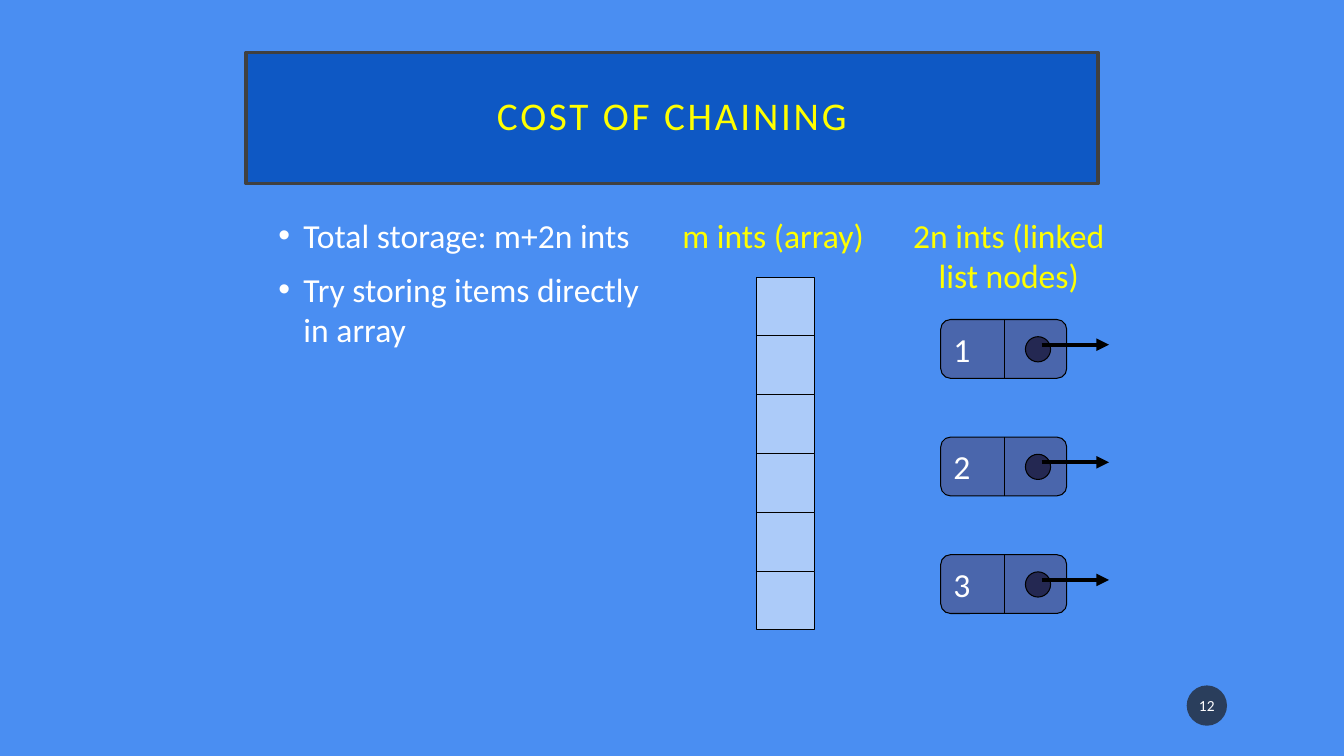
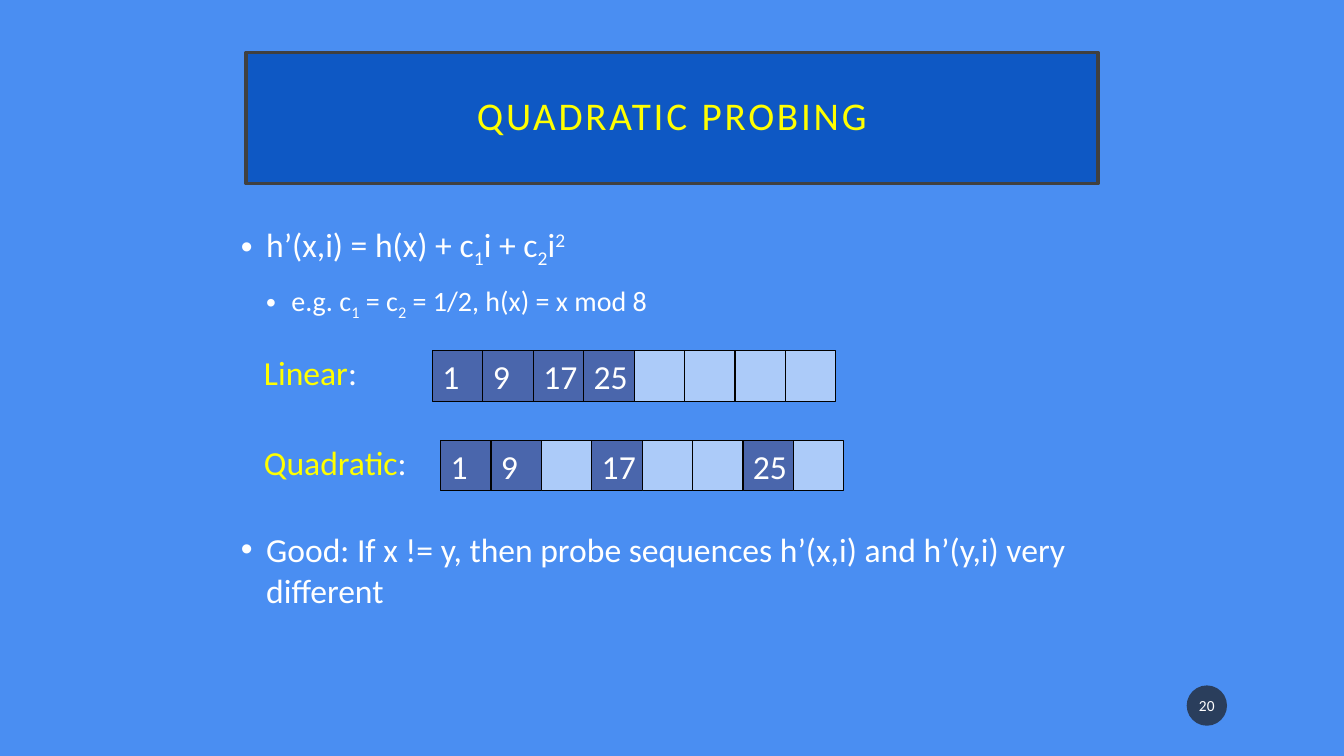
from dataclasses import dataclass

from lxml.etree import SubElement
from pptx import Presentation
from pptx.dml.color import RGBColor
from pptx.enum.shapes import MSO_CONNECTOR as Connector, MSO_SHAPE as Shape
from pptx.enum.text import MSO_ANCHOR as Anchor, MSO_AUTO_SIZE as AutoSize, PP_ALIGN as Align
from pptx.oxml.ns import qn
from pptx.util import Inches, Pt


@dataclass(frozen=True)
class Theme:
    """Colours, font and type sizes shared by the slides."""
    font: str = "Calibri"
    page: str = "4A8EF2"
    band: str = "0E58C4"
    band_edge: str = "404040"
    accent: str = "FFFF00"
    text: str = "FFFFFF"
    empty: str = "ACCBF9"
    filled: str = "4A66AC"
    dot: str = "242852"
    ink: str = "000000"
    badge: str = "1D1D1D"
    title_size: int = 28
    body_size: int = 24
    sub_size: int = 20
    badge_size: int = 11
    hairline: float = 0.75


THEME = Theme()


def rgb(code):
    """Turn a hex code into a colour."""
    return RGBColor.from_string(code)


def add_span(para, text, size=THEME.body_size, color=THEME.text, baseline=0):
    """Add one formatted run; baseline is a percentage shift."""
    span = para.add_run()
    span.text = text
    span.font.name = THEME.font
    span.font.size = Pt(size)
    span.font.color.rgb = rgb(color)
    if baseline:
        span.font._element.set("baseline", str(baseline * 1000))
    return span


def set_frame(frame, margins, anchor=Anchor.TOP, wrap=True):
    """Set insets (left, top, right, bottom), anchor and wrapping."""
    frame.auto_size = AutoSize.NONE
    frame.word_wrap = wrap
    frame.vertical_anchor = anchor
    (frame.margin_left, frame.margin_top,
     frame.margin_right, frame.margin_bottom) = map(Inches, margins)


def place(shape, left, top, width, height):
    """Move and size a placeholder."""
    shape.left, shape.top = Inches(left), Inches(top)
    shape.width, shape.height = Inches(width), Inches(height)


def add_box(page, kind, left, top, width, height, fill):
    """Add a flat shape with a thin dark outline."""
    box = page.shapes.add_shape(kind, Inches(left), Inches(top), Inches(width), Inches(height))
    box.shadow.inherit = False
    box.fill.solid()
    box.fill.fore_color.rgb = rgb(fill)
    box.line.color.rgb = rgb(THEME.ink)
    box.line.width = Pt(THEME.hairline)
    return box


def add_value(box, text):
    """Write a value at the left of a box."""
    set_frame(box.text_frame, (0.1, 0.05, 0, 0.05), Anchor.MIDDLE)
    para = box.text_frame.paragraphs[0]
    para.alignment = Align.LEFT
    add_span(para, text)


def add_line(page, start, end, width=THEME.hairline, arrow=False):
    """Draw a straight line, with an arrowhead at its end if wanted."""
    line = page.shapes.add_connector(Connector.STRAIGHT, *map(Inches, start + end))
    line.line.color.rgb = rgb(THEME.ink)
    line.line.width = Pt(width)
    if arrow:
        SubElement(line.line._get_or_add_ln(), qn("a:tailEnd"), type="triangle")
    SubElement(line._element.spPr, qn("a:effectLst"))


def add_label(page, left, top, width, height, lines, align=Align.LEFT):
    """Add a label; each line is a list of (text, colour) parts."""
    box = page.shapes.add_textbox(Inches(left), Inches(top), Inches(width), Inches(height))
    set_frame(box.text_frame, (0.1, 0.05, 0.1, 0.05), wrap=False)
    for index, parts in enumerate(lines):
        para = box.text_frame.add_paragraph() if index else box.text_frame.paragraphs[0]
        para.alignment = align
        for text, color in parts:
            add_span(para, text, color=color)


def add_bullets(body, items):
    """Fill a body placeholder; an item is (level, space before, spans)."""
    frame = body.text_frame
    set_frame(frame, (0.1, 0.05, 0.1, 0.05))
    for index, (level, gap, spans) in enumerate(items):
        para = frame.add_paragraph() if index else frame.paragraphs[0]
        para.level = level
        para.alignment = Align.LEFT
        para.space_before = Pt(gap)
        props = para._p.get_or_add_pPr()
        props.set("marL", str(Inches(0.25 * (level + 1))))
        props.set("indent", str(Inches(-0.25)))
        SubElement(SubElement(props, qn("a:buClr")), qn("a:srgbClr"), val=THEME.text)
        SubElement(props, qn("a:buFont"), typeface="Arial")
        SubElement(props, qn("a:buChar"), char="•")
        size = THEME.sub_size if level else THEME.body_size
        for text, baseline in spans:
            add_span(para, text, size, baseline=baseline)


def add_badge(page, number):
    """Add the round page number."""
    badge = add_box(page, Shape.OVAL, 11.77, 6.8, 0.4, 0.4, THEME.badge)
    badge.line.fill.background()
    color = badge._element.spPr.find(qn("a:solidFill")).find(qn("a:srgbClr"))
    SubElement(color, qn("a:alpha"), val="70000")
    set_frame(badge.text_frame, (0.02, 0.05, 0.02, 0.05), Anchor.MIDDLE)
    para = badge.text_frame.paragraphs[0]
    para.alignment = Align.CENTER
    add_span(para, str(number), THEME.badge_size)


def add_page(deck, heading, number):
    """Add a slide with its title band and page number."""
    page = deck.slides.add_slide(deck.slide_layouts[1])
    title = page.shapes.title
    place(title, 2.44, 0.52, 8.45, 1.3)
    title.fill.solid()
    title.fill.fore_color.rgb = rgb(THEME.band)
    title.line.color.rgb = rgb(THEME.band_edge)
    title.line.width = Pt(2.5)
    set_frame(title.text_frame, (0.2, 0.2, 0.2, 0.2), Anchor.MIDDLE)
    para = title.text_frame.paragraphs[0]
    para.alignment = Align.CENTER
    para.line_spacing = 0.9
    span = add_span(para, heading, THEME.title_size, THEME.accent)
    span.font._element.set("spc", "200")
    add_badge(page, number)
    return page


def add_node(page, left, top, height, value):
    """Draw a linked list node with its outgoing pointer."""
    node = add_box(page, Shape.ROUNDED_RECTANGLE, left, top, 1.25, height, THEME.filled)
    add_value(node, value)
    middle = left + 0.63
    add_line(page, (middle, top), (middle, top + height))
    add_box(page, Shape.OVAL, left + 0.84, top + 0.17, 0.25, 0.25, THEME.dot)
    add_line(page, (left + 1, top + 0.25), (left + 1.67, top + 0.25), 3, arrow=True)


def add_hash_row(page, name, label_width, left, top, values):
    """Draw a named hash table row; None marks an empty slot."""
    side = 0.5
    for index, value in enumerate(values):
        fill = THEME.filled if value else THEME.empty
        slot = add_box(page, Shape.RECTANGLE, left + index * side, top, side, side, fill)
        if value:
            add_value(slot, value)
    add_label(page, 2.52, top - 0.04, label_width, 0.51,
              [[(name, THEME.accent), (":", THEME.text)]])


def build_chaining(deck):
    """Build the slide on the cost of chaining."""
    page = add_page(deck, "COST OF CHAINING", 12)
    body = page.placeholders[1]
    place(body, 2.66, 2.08, 4.1, 4.58)
    add_bullets(body, [
        (0, 10, [("Total storage: m+2n ints", 0)]),
        (0, 10, [("Try storing items directly in array", 0)]),
    ])
    slots = 6
    side = 3.5 / slots
    for index in range(slots):
        add_box(page, Shape.RECTANGLE, 7.5, 2.75 + index * side, side, side, THEME.empty)
    add_label(page, 6.67, 2.08, 2.02, 0.51, [[("m ints (array)", THEME.accent)]])
    for index, value in enumerate("123"):
        add_node(page, 9.33, 3.17 + index * 2 * side, side, value)
    add_label(page, 8.95, 2.08, 2.11, 0.91,
              [[("2n ints (linked", THEME.accent)], [("list nodes)", THEME.accent)]],
              Align.CENTER)


def build_probing(deck):
    """Build the slide on quadratic probing."""
    page = add_page(deck, "QUADRATIC PROBING", 20)
    body = page.placeholders[1]
    place(body, 2.29, 2.17, 8.75, 4.83)
    add_bullets(body, [
        (0, 10, [("h’(x,i) = h(x) + c", 0), ("1", -25), ("i + c", 0), ("2", -25),
                 ("i", 0), ("2", 30)]),
        (1, 10, [("e.g. c", 0), ("1", -25), (" = c", 0), ("2", -25),
                 (" = 1/2, h(x) = x mod 8", 0)]),
        (0, 148, [("Good: If x != y, then probe sequences h’(x,i) and h’(y,i) very different", 0)]),
    ])
    add_hash_row(page, "Linear", 1.14, 4.29, 3.48,
                 ["1", "9", "17", "25", None, None, None, None])
    add_hash_row(page, "Quadratic", 1.63, 4.37, 4.37,
                 ["1", "9", None, "17", None, None, "25", None])


def main():
    """Build and save the deck."""
    deck = Presentation()
    deck.slide_width, deck.slide_height = Inches(13.33), Inches(7.5)
    backdrop = deck.slide_master.background.fill
    backdrop.solid()
    backdrop.fore_color.rgb = rgb(THEME.page)
    build_chaining(deck)
    build_probing(deck)
    deck.save("out.pptx")


main()
